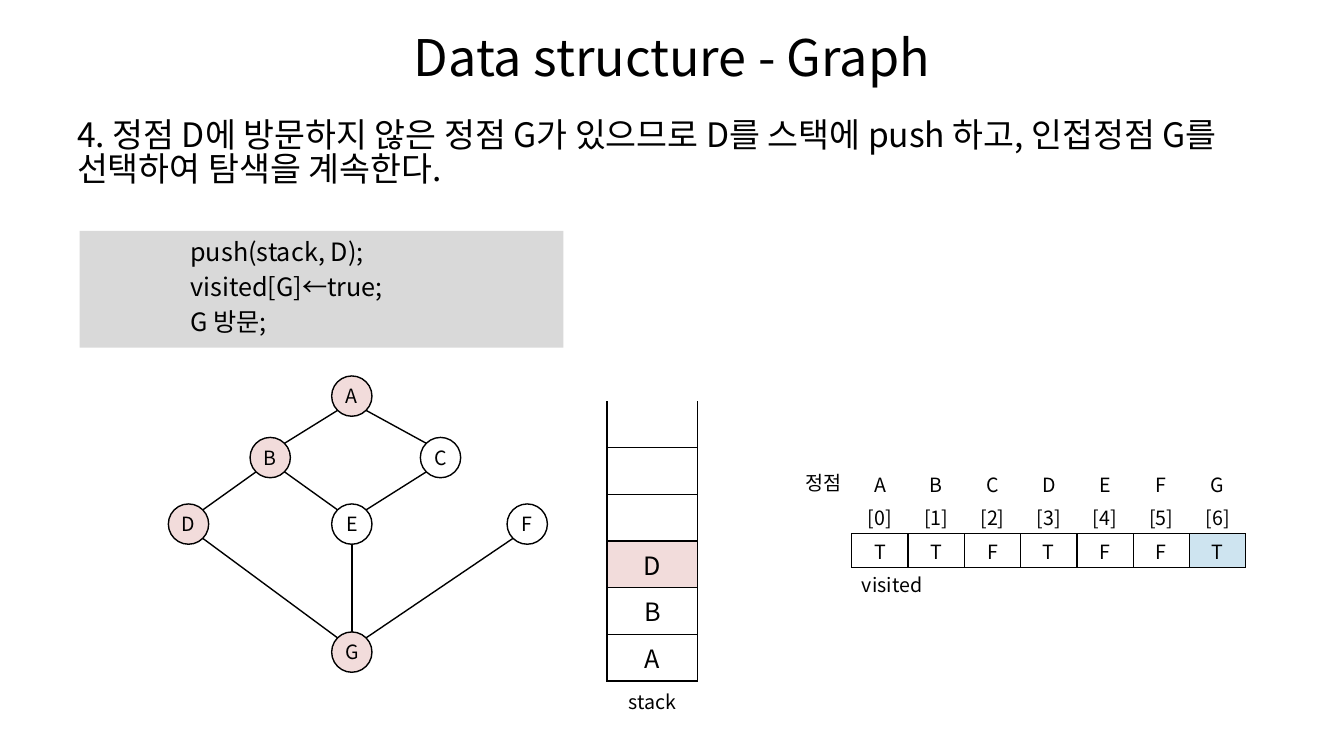
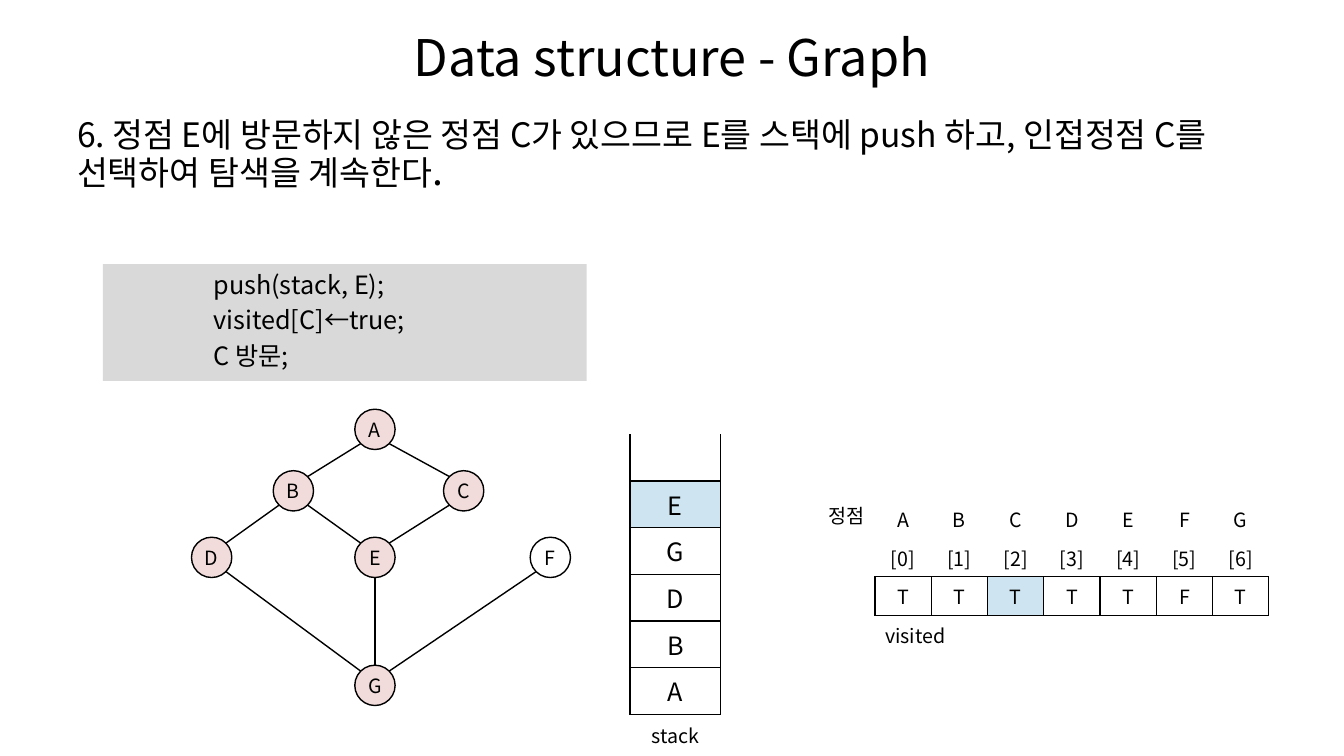
from math import sqrt

from lxml import etree
from pptx import Presentation
from pptx.dml.color import RGBColor
from pptx.enum.shapes import MSO_CONNECTOR, MSO_SHAPE
from pptx.enum.text import MSO_ANCHOR, PP_ALIGN
from pptx.oxml.ns import qn
from pptx.util import Inches, Pt

OVAL, RECT = MSO_SHAPE.OVAL, MSO_SHAPE.RECTANGLE
LINE = MSO_CONNECTOR.STRAIGHT
MID, TOP = MSO_ANCHOR.MIDDLE, MSO_ANCHOR.TOP
CENTER, LEFT = PP_ALIGN.CENTER, PP_ALIGN.LEFT

BLACK = RGBColor(0x00, 0x00, 0x00)
WHITE = RGBColor(0xFF, 0xFF, 0xFF)
PINK = RGBColor(0xF2, 0xDC, 0xDB)
BLUE = RGBColor(0xCE, 0xE4, 0xF0)
GRAY = RGBColor(0xD9, 0xD9, 0xD9)
FONT = "Noto Sans CJK KR"

WIDTH, HEIGHT = Inches(13.333), Inches(7.5)
COL, ROW = WIDTH / 100, HEIGHT / 100
RADIUS = 1.5 * COL
STROKE = Pt(1)
SIDES = "LRTB"

NODES = {
    "A": (13.65, 2.67),
    "B": (7.58, 10.8),
    "C": (20.25, 10.8),
    "D": (1.5, 19.6),
    "E": (13.65, 19.6),
    "F": (26.7, 19.6),
    "G": (13.65, 36.53),
}
EDGES = ("AB", "AC", "BD", "BE", "CE", "DG", "EG", "FG")

STEPS = (
    {
        "at": (5.93, 30.53),
        "text": (("4. 정점 D에 방문하지 않은 정점 G가 있으므로 D를 스택에 push 하고, "
                  "인접정점 G를 선택하여 탐색을 계속한다.", 24),),
        "code": ("push(stack, D);", "visited[G]←true;", "G 방문;"),
        "seen": "ABDG",
        "stack": ("", "", "", "D", "B", "A"),
        "mark": (3, PINK),
        "flags": "TTFTFFT",
        "new": 6,
        "row": 4.44,
    },
    {
        "at": (7.65, 34.93),
        "text": (("6. 정점 E에 방문하지 않은 정점 C가 있으므로 E를 스택에 push 하고, "
                  "인접정점 C를 선택하여 탐색을 계속한다", 24), (".", 28)),
        "code": ("push(stack, E);", "visited[C]←true;", "C 방문;"),
        "seen": "ABCDEG",
        "stack": ("", "E", "G", "D", "B", "A"),
        "mark": (1, BLUE),
        "flags": "TTTTTFT",
        "new": 2,
        "row": 5.09,
    },
)


def area(at, x, y, w, h):
    left, top = at
    return (round((left + x) * COL), round((top + y) * ROW),
            round(w * COL), round(h * ROW))


def write(para, text, size, align=LEFT):
    para.alignment = align
    run = para.add_run()
    run.text = text
    font = run.font
    font.size, font.name = Pt(size), FONT
    font.color.rgb = BLACK
    latin = run._r.rPr.find(qn("a:latin"))
    asian = etree.Element(qn("a:ea"), typeface=FONT)
    latin.addnext(asian)


def shape(slide, kind, box, fill):
    item = slide.shapes.add_shape(kind, *box)
    item.shadow.inherit = False
    item.fill.solid()
    item.fill.fore_color.rgb = fill
    item.text_frame.vertical_anchor = MID
    return item


def head(slide):
    title = slide.shapes.title
    title.left, title.top, title.width, title.height = area((0, 0), 5, 1.73, 90, 11.33)
    title.text_frame.vertical_anchor = MID
    write(title.text_frame.paragraphs[0], "Data structure - Graph", 36, CENTER)


def intro(slide, runs):
    frame = slide.shapes.add_textbox(*area((0, 0), 5, 15.33, 90, 14)).text_frame
    frame.word_wrap = True
    frame.vertical_anchor = TOP
    para = frame.paragraphs[0]
    para.line_spacing = 0.83
    for text, size in runs:
        write(para, text, size)


def code(slide, box, lines):
    item = shape(slide, RECT, box, GRAY)
    item.line.fill.background()
    frame = item.text_frame
    for i, text in enumerate(lines):
        para = frame.add_paragraph() if i else frame.paragraphs[0]
        para.line_spacing = 0.8
        para.space_after = Pt(8)
        para._p.get_or_add_pPr().set("marL", str(Inches(1)))
        write(para, text, 18)


def edge(slide, start, end):
    gap = end[0] - start[0]
    side = (gap > 0) - (gap < 0)
    reach = RADIUS / sqrt(2) if side else RADIUS
    link = slide.shapes.add_connector(
        LINE,
        round(start[0] + side * reach), round(start[1] + reach),
        round(end[0] - side * reach), round(end[1] - reach))
    link.line.color.rgb = BLACK
    link.line.width = STROKE
    etree.SubElement(link._element.spPr, qn("a:effectLst"))


def graph(slide, box, seen):
    left, top = box[:2]
    spots = {name: (left + x * COL, top + y * ROW) for name, (x, y) in NODES.items()}
    for start, end in EDGES:
        edge(slide, spots[start], spots[end])
    for name, (x, y) in spots.items():
        side = round(2 * RADIUS)
        node = shape(slide, OVAL, (round(x - RADIUS), round(y - RADIUS), side, side),
                     PINK if name in seen else WHITE)
        node.line.color.rgb = BLACK
        node.line.width = STROKE
        frame = node.text_frame
        frame.margin_left = frame.margin_right = 0
        frame.margin_top = frame.margin_bottom = 0
        frame.word_wrap = False
        write(frame.paragraphs[0], name, 14, CENTER)


def table(slide, box, rows, cols):
    grid = slide.shapes.add_table(rows, cols, *box).table
    grid.first_row = grid.horz_banding = False
    return grid


def style(cell, text, size, fill, sides, align=CENTER):
    props = cell._tc.get_or_add_tcPr()
    for side in SIDES:
        line = etree.SubElement(props, qn("a:ln" + side), w=str(STROKE))
        if side in sides:
            paint = etree.SubElement(line, qn("a:solidFill"))
            etree.SubElement(paint, qn("a:srgbClr"), val=str(BLACK))
        else:
            etree.SubElement(line, qn("a:noFill"))
    cell.fill.solid()
    cell.fill.fore_color.rgb = fill
    cell.vertical_anchor = MID
    if text:
        write(cell.text_frame.paragraphs[0], text, size, align)


def stack(slide, box, items, mark):
    last = len(items)
    grid = table(slide, box, last + 1, 1)
    for i, text in enumerate(items):
        grid.rows[i].height = round(6.17 * ROW)
        style(grid.cell(i, 0), text, 18, mark[1] if i == mark[0] else WHITE,
              SIDES if i else "LRB")
    grid.rows[last].height = round(5.4 * ROW)
    style(grid.cell(last, 0), "stack", 14, WHITE, "T")


def visits(slide, box, flags, new):
    count = len(flags)
    grid = table(slide, box, 4, count)
    for i, (name, flag) in enumerate(zip(NODES, flags)):
        parts = ((name, WHITE, ""), (f"[{i}]", WHITE, "B"),
                 (flag, BLUE if i == new else WHITE, SIDES),
                 ("" if i else "visited", WHITE, "T"))
        for j, (text, fill, sides) in enumerate(parts):
            cell = grid.cell(j, i)
            cell.margin_top = cell.margin_bottom = Inches(0.02)
            style(cell, text, 14, fill, sides, LEFT if j == 3 else CENTER)
    grid.cell(3, 0).merge(grid.cell(3, count - 1))


def label(slide, box):
    frame = slide.shapes.add_textbox(*box).text_frame
    frame.word_wrap = False
    write(frame.paragraphs[0], "정점", 14)


def build(deck, step):
    slide = deck.slides.add_slide(deck.slide_layouts[5])
    at = step["at"]
    head(slide)
    intro(slide, step["text"])
    code(slide, area(at, 0, 0, 36, 15.47), step["code"])
    graph(slide, area(at, 6.6, 19.2, 28.2, 39.2), step["seen"])
    stack(slide, area(at, 39.23, 22.53, 6.75, 42.42), step["stack"], step["mark"])
    visits(slide, area(at, 57.45, 31.2, 29.33, 4 * step["row"]),
           step["flags"], step["new"])
    label(slide, area(at, 53.25, 31.07, 4.2, 4.53))


def main():
    deck = Presentation()
    deck.slide_width, deck.slide_height = WIDTH, HEIGHT
    for step in STEPS:
        build(deck, step)
    deck.save("out.pptx")


if __name__ == "__main__":
    main()
